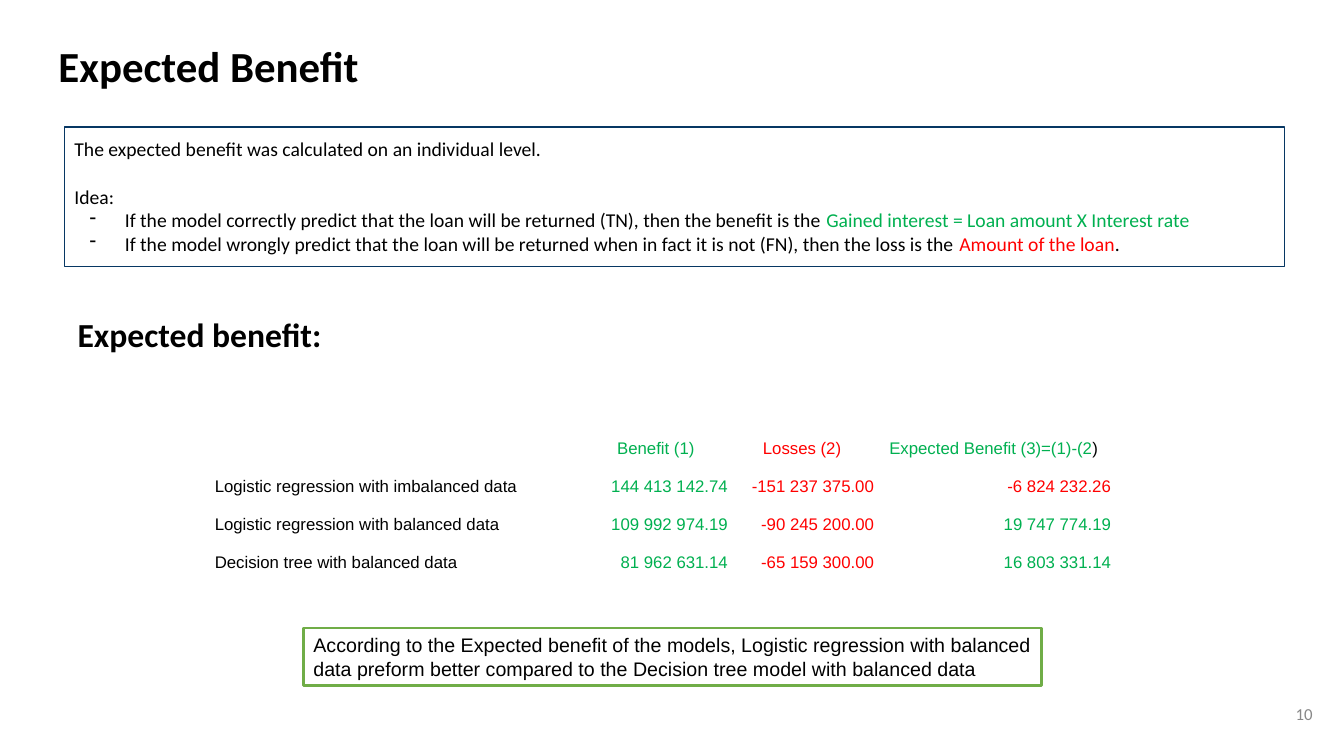
from dataclasses import dataclass

from lxml.etree import SubElement
from pptx import Presentation
from pptx.dml.color import RGBColor
from pptx.enum.shapes import MSO_SHAPE
from pptx.enum.text import MSO_ANCHOR, PP_ALIGN
from pptx.oxml.ns import qn
from pptx.shapes.autoshape import Shape
from pptx.slide import Slide
from pptx.text.text import TextFrame
from pptx.util import Inches, Pt

BLACK = RGBColor(0x00, 0x00, 0x00)
WHITE = RGBColor(0xFF, 0xFF, 0xFF)
GRAY = RGBColor(0x88, 0x88, 0x88)
NAVY = RGBColor(0x07, 0x37, 0x63)
GAIN_GREEN = RGBColor(0x00, 0xB0, 0x50)
LOSS_RED = RGBColor(0xFF, 0x00, 0x00)
BORDER_GREEN = RGBColor(0x70, 0xAD, 0x47)


@dataclass(frozen=True)
class Box:
    left: float
    top: float
    width: float
    height: float

    def lengths(self) -> tuple:
        return tuple(Inches(n) for n in (self.left, self.top, self.width, self.height))


@dataclass(frozen=True)
class Span:
    text: str
    color: RGBColor = BLACK


@dataclass(frozen=True)
class Line:
    spans: tuple[Span, ...]
    alignment: PP_ALIGN = PP_ALIGN.LEFT
    dashed: bool = False
    space_before: float = 0
    space_after: float = 0
    line_spacing: float = 1.0


@dataclass(frozen=True)
class Label:
    box: Box
    line: Line
    size: float
    bold: bool = False
    anchor: MSO_ANCHOR = MSO_ANCHOR.TOP


@dataclass(frozen=True)
class ModelResult:
    name: str
    benefit: str
    losses: str
    expected: str


LABELS = (
    Label(Box(0.45, 0.32, 12.42, 0.68),
          Line((Span("Expected Benefit"),), line_spacing=0.9), 30.6, bold=True),
    Label(Box(12.35, 6.8, 0.8, 0.57),
          Line((Span("10", GRAY),), PP_ALIGN.RIGHT), 12, anchor=MSO_ANCHOR.MIDDLE),
    Label(Box(0.64, 2.98, 4.97, 0.67), Line((Span("Expected benefit:"),)), 24, bold=True),
)
IDEA_LINES = (
    Line((Span("The expected benefit was calculated on an individual level."),)),
    Line((Span("Idea:"),), space_before=17),
    Line((Span("If the model correctly predict that the loan will be returned (TN), "
               "then the benefit is the "),
          Span("Gained interest = Loan amount X Interest rate", GAIN_GREEN)), dashed=True),
    Line((Span("If the model wrongly predict that the loan will be returned when in fact "
               "it is not (FN), then the loss is the "),
          Span("Amount of the loan", LOSS_RED), Span(".")), dashed=True),
)
CONCLUSION = Line((Span("According to the Expected benefit of the models, Logistic regression "
                        "with balanced data preform better compared to the Decision tree "
                        "model with balanced data"),), PP_ALIGN.JUSTIFY)
HEADERS = (
    (),
    (Span("Benefit (1)", GAIN_GREEN),),
    (Span("Losses (2)", LOSS_RED),),
    (Span("Expected Benefit (3)=(1)-(2", GAIN_GREEN), Span(")")),
)
RESULTS = (
    ModelResult("Logistic regression with imbalanced data",
                "144 413 142.74", "-151 237 375.00", "-6 824 232.26"),
    ModelResult("Logistic regression with balanced data",
                "109 992 974.19", "-90 245 200.00", "19 747 774.19"),
    ModelResult("Decision tree with balanced data",
                "81 962 631.14", "-65 159 300.00", "16 803 331.14"),
)
COLUMN_WIDTHS = (3.66, 1.45, 1.45, 2.35)
ROW_HEIGHTS = (0.69, 0.38, 0.38, 0.38)


def write_lines(text_frame: TextFrame, lines: tuple[Line, ...], font: str, size: float,
                bold: bool = False) -> None:
    """Write each line as a paragraph with its coloured runs."""
    text_frame.word_wrap = True
    for index, line in enumerate(lines):
        paragraph = text_frame.add_paragraph() if index else text_frame.paragraphs[0]
        paragraph.alignment = line.alignment
        paragraph.line_spacing = line.line_spacing
        paragraph.space_before = Pt(line.space_before)
        paragraph.space_after = Pt(line.space_after)
        if line.dashed:
            properties = paragraph._p.get_or_add_pPr()
            properties.set("marL", str(Inches(0.5)))
            properties.set("indent", str(Inches(-0.35)))
            SubElement(properties, qn("a:buChar")).set("char", "-")
        for span in line.spans:
            run = paragraph.add_run()
            run.text = span.text
            run.font.name = font
            run.font.size = Pt(size)
            run.font.bold = bold
            run.font.color.rgb = span.color


def set_margins(text_frame: TextFrame, margin: float) -> None:
    """Give all four sides of a text frame the same margin."""
    text_frame.margin_left = text_frame.margin_right = Inches(margin)
    text_frame.margin_top = text_frame.margin_bottom = Inches(margin)


def add_label(slide: Slide, label: Label) -> None:
    """Add an unframed text box."""
    text_frame = slide.shapes.add_textbox(*label.box.lengths()).text_frame
    set_margins(text_frame, 0.13)
    text_frame.vertical_anchor = label.anchor
    write_lines(text_frame, (label.line,), "Calibri", label.size, label.bold)


def add_frame(slide: Slide, box: Box, color: RGBColor, line_width: float) -> Shape:
    """Add an outlined rectangle without fill and shadow."""
    shape = slide.shapes.add_shape(MSO_SHAPE.RECTANGLE, *box.lengths())
    shape.shadow.inherit = False
    shape.fill.background()
    shape.line.color.rgb = color
    shape.line.width = Pt(line_width)
    shape.text_frame.vertical_anchor = MSO_ANCHOR.TOP
    return shape


def result_lines(result: ModelResult) -> list[Line]:
    """Turn a model result into table lines coloured by sign."""
    lines = [table_line((Span(result.name),), PP_ALIGN.LEFT)]
    for value in (result.benefit, result.losses, result.expected):
        color = LOSS_RED if value.startswith("-") else GAIN_GREEN
        lines.append(table_line((Span(value, color),), PP_ALIGN.RIGHT))
    return lines


def table_line(spans: tuple[Span, ...], alignment: PP_ALIGN) -> Line:
    """Make a line with the spacing used in the table."""
    return Line(spans, alignment, space_before=6, space_after=6, line_spacing=1.12)


def add_results_table(slide: Slide, box: Box) -> None:
    """Add the table of benefits and losses by model."""
    rows = [[table_line(spans, PP_ALIGN.CENTER) for spans in HEADERS]]
    rows += [result_lines(result) for result in RESULTS]
    table = slide.shapes.add_table(len(rows), len(HEADERS), *box.lengths()).table
    table.first_row = table.horz_banding = False
    for column, width in zip(table.columns, COLUMN_WIDTHS):
        column.width = Inches(width)
    for row_index, (lines, height) in enumerate(zip(rows, ROW_HEIGHTS)):
        table.rows[row_index].height = Inches(height)
        for column_index, line in enumerate(lines):
            cell = table.cell(row_index, column_index)
            cell.fill.background()
            cell.vertical_anchor = MSO_ANCHOR.BOTTOM
            cell.margin_left = cell.margin_right = cell.margin_top = Inches(0.01)
            cell.margin_bottom = Inches(0)
            write_lines(cell.text_frame, (line,), "Arial", 12)
            borders = cell._tc.get_or_add_tcPr()
            for position, side in enumerate(("a:lnL", "a:lnR", "a:lnT", "a:lnB")):
                border = borders.makeelement(qn(side), {"w": "0"})
                SubElement(border, qn("a:noFill"))
                borders.insert(position, border)


def main() -> None:
    """Build the expected benefit slide."""
    presentation = Presentation()
    presentation.slide_width, presentation.slide_height = Inches(13.33), Inches(7.5)
    slide = presentation.slides.add_slide(presentation.slide_layouts[6])
    for label in LABELS:
        add_label(slide, label)
    idea = add_frame(slide, Box(0.64, 1.26, 12.1, 1.38), NAVY, 0.75)
    set_margins(idea.text_frame, 0.1)
    write_lines(idea.text_frame, IDEA_LINES, "Calibri", 14)
    add_results_table(slide, Box(2.12, 3.85, sum(COLUMN_WIDTHS), sum(ROW_HEIGHTS)))
    conclusion = add_frame(slide, Box(3.01, 6.23, 7.32, 0.57), BORDER_GREEN, 2)
    conclusion.fill.solid()
    conclusion.fill.fore_color.rgb = WHITE
    write_lines(conclusion.text_frame, (CONCLUSION,), "Arial", 14)
    presentation.save("out.pptx")


if __name__ == "__main__":
    main()
